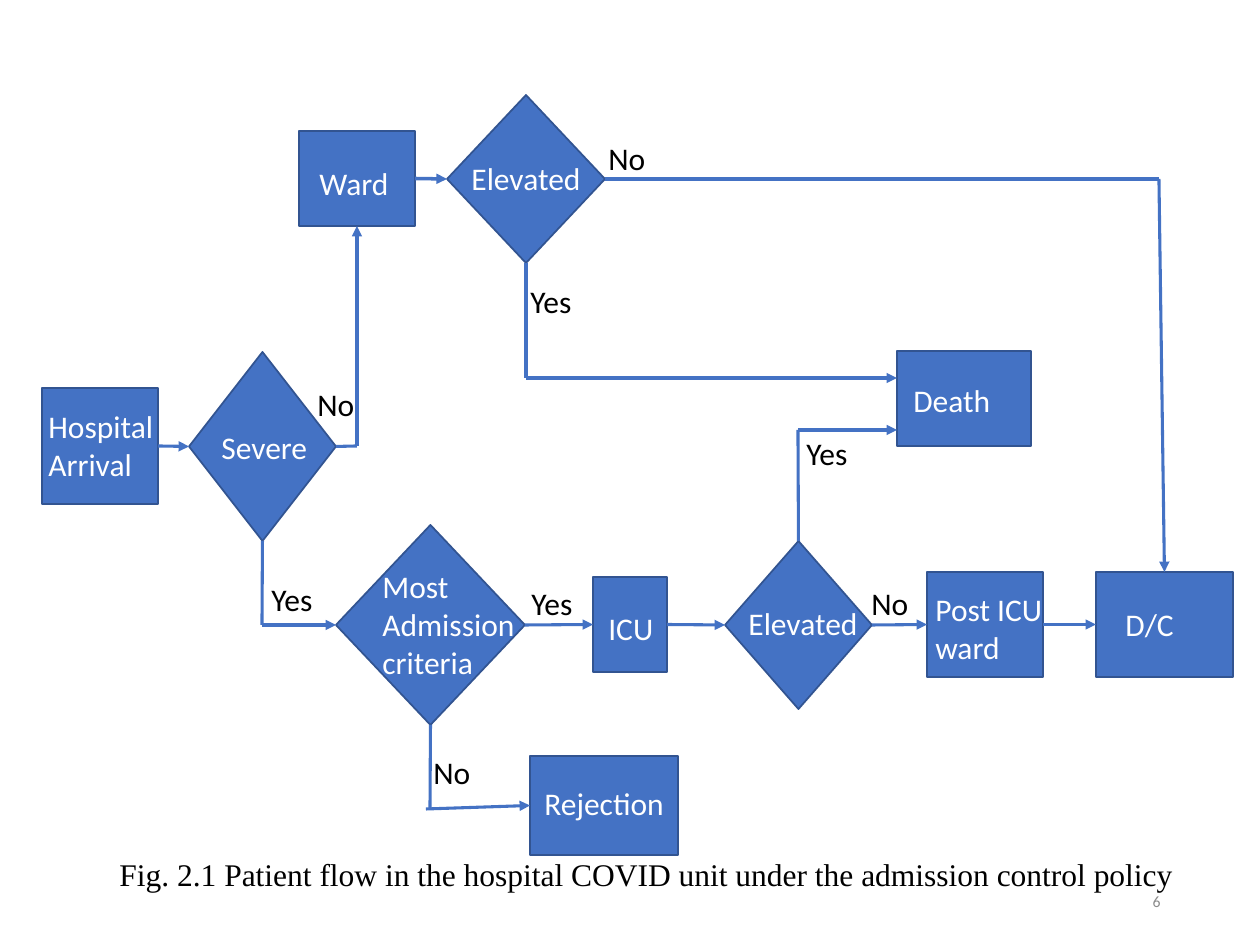
from pptx import Presentation
from pptx.dml.color import RGBColor
from pptx.enum.shapes import MSO_CONNECTOR, MSO_SHAPE
from pptx.enum.text import MSO_ANCHOR, MSO_AUTO_SIZE, PP_ALIGN
from pptx.oxml.ns import qn
from pptx.util import Emu, Pt
from lxml.etree import SubElement

BLUE, EDGE, WHITE, BLACK, GREY = "4472C4", "325491", "FFFFFF", "000000", "8C8C8C"
TOP, LEFT, BOTTOM, RIGHT = range(4)


def px(n):
    return Emu(round(n * 914400 / 126))


def color(code):
    return RGBColor.from_string(code)


class Chart:
    font = "Calibri"
    size = 18

    def __init__(self, slide):
        self.slide = slide

    def node(self, kind, *box):
        shape = self.slide.shapes.add_shape(kind, *map(px, box))
        shape.shadow.inherit = False
        shape.fill.solid()
        shape.fill.fore_color.rgb = color(BLUE)
        shape.line.color.rgb = color(EDGE)
        shape.line.width = Pt(1)
        return shape

    def rect(self, *box):
        return self.node(MSO_SHAPE.RECTANGLE, *box)

    def diamond(self, *box):
        return self.node(MSO_SHAPE.DIAMOND, *box)

    def link(self, start, end, arrow=True, width=1.75):
        """Each end is an (x, y) point or a (shape, side) pair."""
        fixed = [isinstance(spot[0], int) for spot in (start, end)]
        a = start if fixed[0] else (0, 0)
        b = end if fixed[1] else (0, 0)
        line = self.slide.shapes.add_connector(
            MSO_CONNECTOR.STRAIGHT, *map(px, (*a, *b)))
        if not fixed[0]:
            line.begin_connect(*start)
        if not fixed[1]:
            line.end_connect(*end)
        line.line.color.rgb = color(BLUE)
        line.line.width = Pt(width)
        if arrow:
            SubElement(line.line._get_or_add_ln(), qn("a:tailEnd"), type="triangle")
        SubElement(line._element.spPr, qn("a:effectLst"))

    def text(self, words, x, y, w, h, ink=WHITE, font=None, size=None,
             align=PP_ALIGN.LEFT, grow=True):
        box = self.slide.shapes.add_textbox(*map(px, (x, y, w, h)))
        frame = box.text_frame
        frame.text = words
        frame.word_wrap = True
        frame.auto_size = MSO_AUTO_SIZE.SHAPE_TO_FIT_TEXT if grow else MSO_AUTO_SIZE.NONE
        for par in frame.paragraphs:
            par.alignment = align
            for run in par.runs:
                run.font.name = font or self.font
                run.font.size = Pt(size or self.size)
                run.font.color.rgb = color(ink)
        return frame


def main():
    deck = Presentation()
    deck.slide_width, deck.slide_height = px(1260), px(945)
    flow = Chart(deck.slides.add_slide(deck.slide_layouts[6]))

    # Steps and decisions
    ward = flow.rect(299, 131, 116, 95)
    entry = flow.rect(42, 388, 116, 116)
    check = flow.diamond(447, 95, 158, 168)
    severe = flow.diamond(189, 352, 147, 189)
    rule = flow.diamond(336, 525, 189, 200)
    test = flow.diamond(725, 541, 147, 168)
    icu = flow.rect(593, 577, 74, 95)
    reject = flow.rect(530, 756, 148, 99)
    death = flow.rect(897, 351, 134, 95)
    post = flow.rect(927, 572, 116, 105)
    leave = flow.rect(1096, 572, 137, 105)

    # Straight arrows between neighbours
    flow.link((ward, RIGHT), (check, LEFT), width=2)
    row = [rule, icu, test, post, leave]
    for a, b in [(entry, severe), *zip(row, row[1:])]:
        flow.link((a, RIGHT), (b, LEFT))

    # Paths that turn a corner
    turns = [
        ((severe, BOTTOM), (262, 625), (rule, LEFT)),
        ((check, RIGHT), (1159, 179), (leave, TOP)),
        ((check, BOTTOM), (526, 378), (897, 378)),
        ((severe, RIGHT), (357, 446), (ward, BOTTOM)),
        ((test, TOP), (798, 430), (897, 430)),
    ]
    for start, bend, end in turns:
        flow.link(start, bend, arrow=False)
        flow.link(bend, end)
    flow.link((rule, BOTTOM), (430, 809), arrow=False)
    flow.link((426, 809), (reject, LEFT))

    # Names of the steps
    names = [
        ("Ward", 307, 158, 111, 50),
        ("Hospital Arrival", 36, 401, 137, 89),
        ("Severe", 209, 422, 136, 50),
        ("Elevated", 459, 153, 158, 50),
        ("Death", 901, 375, 134, 52),
        ("D/C", 1113, 599, 105, 50),
        ("Post ICU ward", 923, 584, 154, 89),
        ("Elevated", 736, 598, 147, 50),
        ("ICU", 596, 603, 74, 50),
        ("Most\nAdmission criteria", 370, 561, 163, 127),
        ("Rejection", 532, 778, 147, 52),
    ]
    for name in names:
        flow.text(*name)

    # Answers beside the paths
    answers = {
        "No": [(596, 133, 88), (859, 578, 73), (421, 747, 116), (305, 379, 83)],
        "Yes": [(518, 276, 73), (259, 574, 102), (519, 578, 100), (794, 428, 106)],
    }
    for word, spots in answers.items():
        for x, y, w in spots:
            flow.text(word, x, y, w, 50, BLACK)

    # Caption
    note = flow.text("Fig. 2.1 Patient flow in the hospital COVID unit under the "
                     "admission control policy", 92, 843, 1099, 98, BLACK,
                     font="Times New Roman", align=PP_ALIGN.CENTER)
    par = note.paragraphs[0]
    par.line_spacing = 1.15
    par.space_before, par.space_after = Pt(9.7), Pt(10)
    par._p.get_or_add_pPr().set("marL", str(px(10)))

    # Page number
    page = flow.text("6", 890, 876, 283, 50, GREY, size=9,
                     align=PP_ALIGN.RIGHT, grow=False)
    page.vertical_anchor = MSO_ANCHOR.MIDDLE

    deck.save("out.pptx")


if __name__ == "__main__":
    main()
